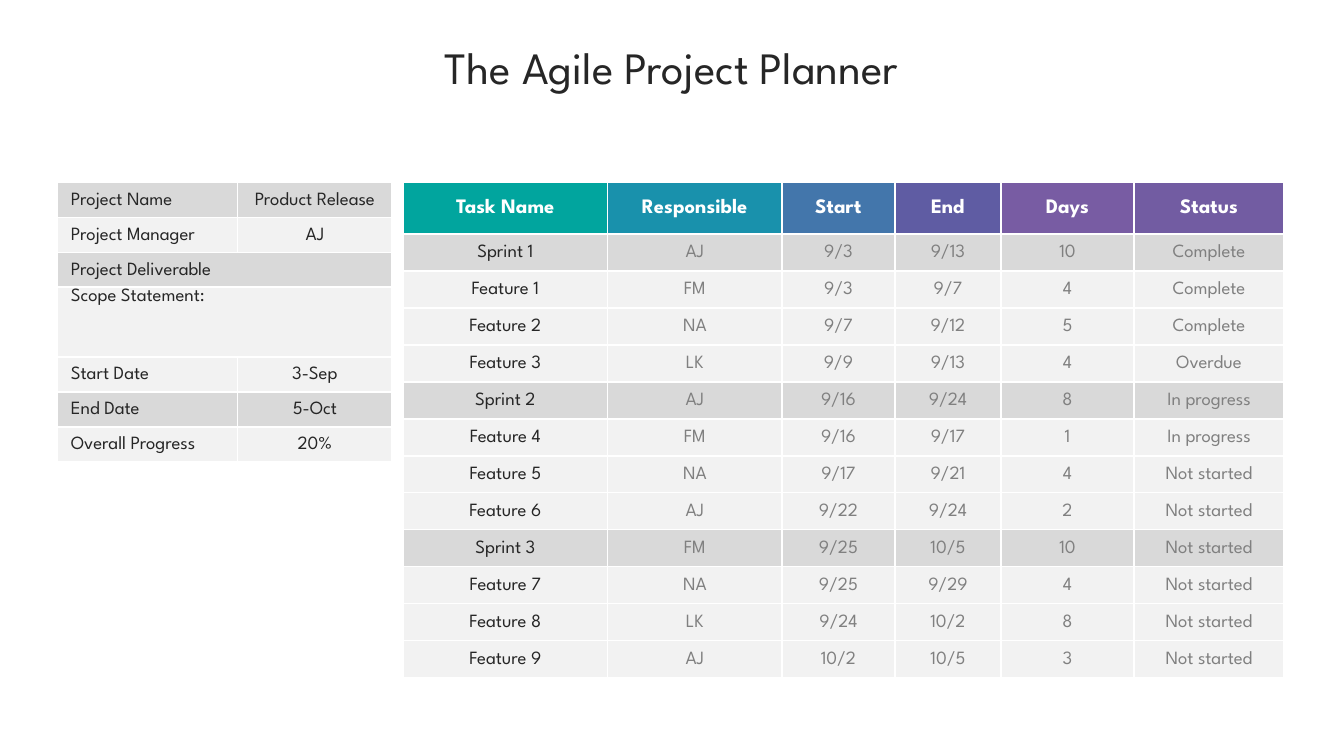
from dataclasses import dataclass

import lxml.etree
import pptx
import pptx.dml.color
import pptx.enum.text
import pptx.oxml.ns
import pptx.util

Cm = pptx.util.Cm
Pt = pptx.util.Pt
ALIGN = pptx.enum.text.PP_ALIGN
ANCHOR = pptx.enum.text.MSO_ANCHOR
FONT = "League Spartan"
COLORS = {
    "ink": "262626", "muted": "808080", "white": "FFFFFF",
    "dark": "D9D9D9", "light": "F2F2F2",
    "teal": "01A59E", "cyan": "1991AC", "blue": "4376AB",
    "indigo": "5F5CA3", "purple": "785CA3", "violet": "725CA2",
}


@dataclass
class Column:
    heading: str
    width: float
    fill: str


@dataclass
class CellStyle:
    fill: str
    color: str = "ink"
    size: float = 10
    bold: bool = False
    align: ALIGN = ALIGN.CENTER
    anchor: ANCHOR = ANCHOR.MIDDLE
    indent: float = 0.03


COLUMNS = [
    Column("Task Name", 3.86, "teal"),
    Column("Responsible", 3.3, "cyan"),
    Column("Start", 2.13, "blue"),
    Column("End", 2.01, "indigo"),
    Column("Days", 2.51, "purple"),
    Column("Status", 2.84, "violet"),
]
TASKS = [
    ("Sprint 1", "AJ", "9/3", "9/13", "10", "Complete"),
    ("Feature 1", "FM", "9/3", "9/7", "4", "Complete"),
    ("Feature 2", "NA", "9/7", "9/12", "5", "Complete"),
    ("Feature 3", "LK", "9/9", "9/13", "4", "Overdue"),
    ("Sprint 2", "AJ", "9/16", "9/24", "8", "In progress"),
    ("Feature 4", "FM", "9/16", "9/17", "1", "In progress"),
    ("Feature 5", "NA", "9/17", "9/21", "4", "Not started"),
    ("Feature 6", "AJ", "9/22", "9/24", "2", "Not started"),
    ("Sprint 3", "FM", "9/25", "10/5", "10", "Not started"),
    ("Feature 7", "NA", "9/25", "9/29", "4", "Not started"),
    ("Feature 8", "LK", "9/24", "10/2", "8", "Not started"),
    ("Feature 9", "AJ", "10/2", "10/5", "3", "Not started"),
]
# A row without a value spans both columns
SUMMARY = [
    ("Project Name", "Product Release", "dark"),
    ("Project Manager", "AJ", "light"),
    ("Project Deliverable", "", "dark"),
    ("Scope Statement:", "", "light"),
    ("Start Date", "3-Sep", "light"),
    ("End Date", "5-Oct", "dark"),
    ("Overall Progress", "20%", "light"),
]


def rgb(name: str) -> pptx.dml.color.RGBColor:
    return pptx.dml.color.RGBColor.from_string(COLORS[name])


def format_paragraph(p, size: float, color: str, bold: bool, align: ALIGN) -> None:
    p.alignment = align
    p.font.name = FONT
    p.font.size = Pt(size)
    p.font.bold = bold
    p.font.color.rgb = rgb(color)


def add_borders(cell) -> None:
    qn = pptx.oxml.ns.qn
    tc_pr = cell._tc.get_or_add_tcPr()
    for side in ("a:lnL", "a:lnR", "a:lnT", "a:lnB"):
        ln = lxml.etree.SubElement(tc_pr, qn(side), w=str(Pt(1)))
        fill = lxml.etree.SubElement(ln, qn("a:solidFill"))
        lxml.etree.SubElement(fill, qn("a:srgbClr"), val=COLORS["white"])


def fill_cell(cell, text: str, style: CellStyle) -> None:
    add_borders(cell)
    cell.fill.solid()
    cell.fill.fore_color.rgb = rgb(style.fill)
    cell.margin_left = Cm(style.indent)
    cell.margin_right = cell.margin_top = Cm(0.03)
    cell.margin_bottom = 0
    cell.vertical_anchor = style.anchor
    cell.text = text
    format_paragraph(cell.text_frame.paragraphs[0], style.size, style.color,
                     style.bold, style.align)


def add_grid(s, left: float, top: float, widths: list[float], heights: list[float]):
    table = s.shapes.add_table(
        len(heights), len(widths), Cm(left), Cm(top),
        Cm(sum(widths)), Cm(sum(heights))).table
    table.first_row = table.horz_banding = False
    for column, width in zip(table.columns, widths):
        column.width = Cm(width)
    for row, height in zip(table.rows, heights):
        row.height = Cm(height)
    return table


def add_task_table(s) -> None:
    table = add_grid(s, 7.62, 3.45, [c.width for c in COLUMNS],
                     [0.97] + [0.7] * len(TASKS))
    for i, column in enumerate(COLUMNS):
        fill_cell(table.cell(0, i), column.heading,
                  CellStyle(column.fill, "white", 11, True))
    for row, task in enumerate(TASKS, start=1):
        fill = "dark" if task[0].startswith("Sprint") else "light"
        for i, text in enumerate(task):
            fill_cell(table.cell(row, i), text,
                      CellStyle(fill, "muted" if i else "ink"))


def add_summary_table(s) -> None:
    heights = [1.32 if label.startswith("Scope") else 0.66 for label, _, _ in SUMMARY]
    table = add_grid(s, 1.09, 3.45, [3.4, 2.92], heights)
    for row, (label, value, fill) in enumerate(SUMMARY):
        anchor = ANCHOR.TOP if label.startswith("Scope") else ANCHOR.MIDDLE
        fill_cell(table.cell(row, 0), label,
                  CellStyle(fill, align=ALIGN.LEFT, anchor=anchor, indent=0.25))
        fill_cell(table.cell(row, 1), value, CellStyle(fill))
        if not value:
            table.cell(row, 0).merge(table.cell(row, 1))


def add_title(s, text: str) -> None:
    sp = s.shapes.title
    sp.left, sp.top, sp.width, sp.height = Cm(1.07), Cm(0.58), Cm(23.24), Cm(1.37)
    tf = sp.text_frame
    tf.text = text
    tf.auto_size = pptx.enum.text.MSO_AUTO_SIZE.NONE
    tf.vertical_anchor = ANCHOR.MIDDLE
    tf.margin_left = tf.margin_right = tf.margin_top = tf.margin_bottom = 0
    format_paragraph(tf.paragraphs[0], 24, "ink", False, ALIGN.CENTER)


def main() -> None:
    prs = pptx.Presentation()
    prs.slide_width, prs.slide_height = Cm(25.4), Cm(14.29)
    s = prs.slides.add_slide(prs.slide_layouts[5])  # Title Only
    add_title(s, "The Agile Project Planner")
    add_summary_table(s)
    add_task_table(s)
    prs.save("out.pptx")


if __name__ == "__main__":
    main()
